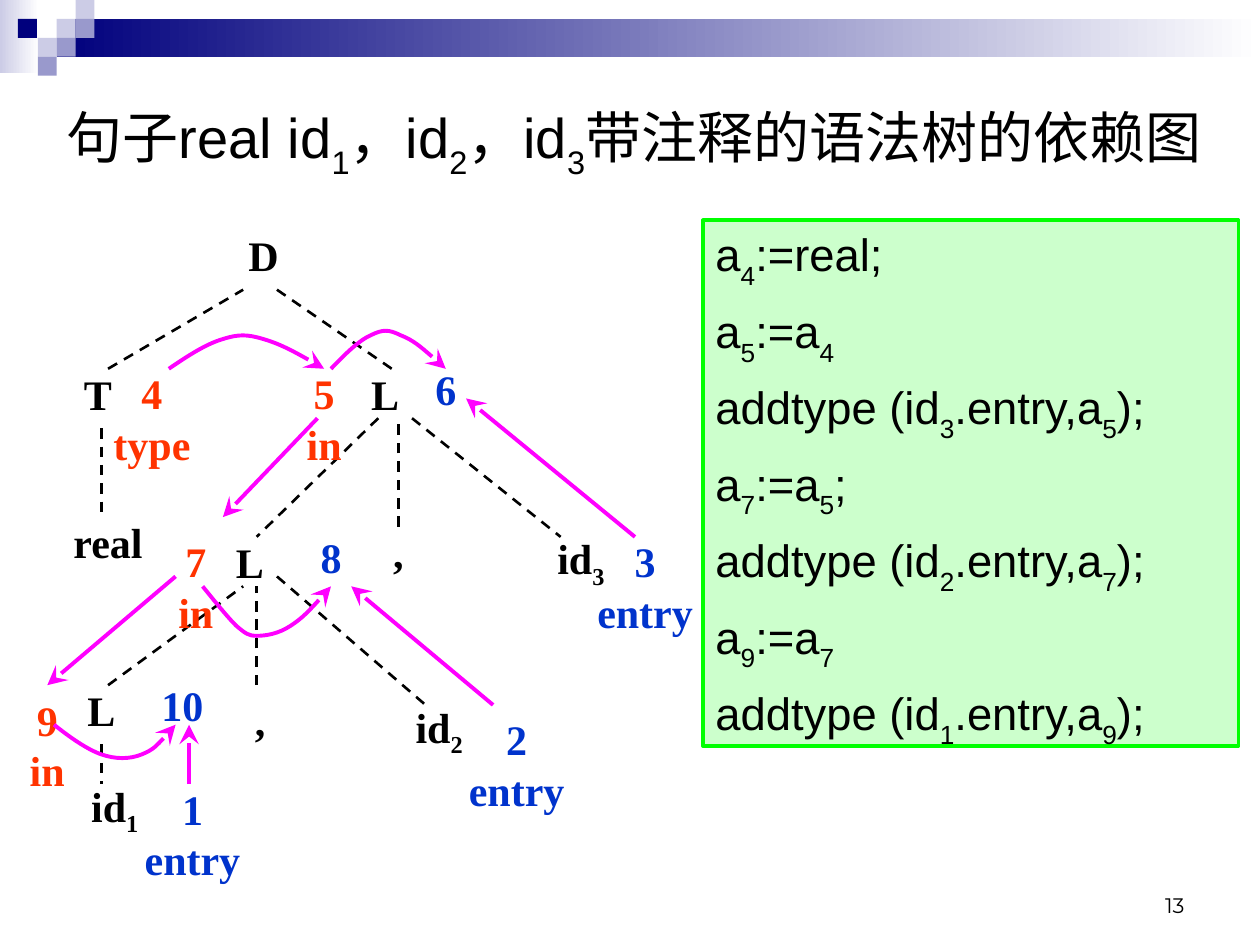
from lxml import etree
from pptx import Presentation
from pptx import util as u
from pptx.dml.color import RGBColor
from pptx.enum import dml, shapes, text
from pptx.oxml.ns import qn

BLACK = RGBColor(0x00, 0x00, 0x00)
NAVY = RGBColor(0x00, 0x00, 0x7D)
LAVENDER = RGBColor(0xCC, 0xCC, 0xE6)
VIOLET = RGBColor(0x99, 0x99, 0xCC)
WHITE = RGBColor(0xFF, 0xFF, 0xFF)
RED = RGBColor(0xFF, 0x33, 0x00)
BLUE = RGBColor(0x00, 0x33, 0xCC)
MAGENTA = RGBColor(0xFF, 0x00, 0xFF)
GREEN = RGBColor(0x00, 0xFF, 0x00)
PALE_GREEN = RGBColor(0xCC, 0xFF, 0xCC)

presentation = Presentation()
presentation.slide_width, presentation.slide_height = u.Inches(10), u.Inches(7.5)
slide = presentation.slides.add_slide(presentation.slide_layouts[5])

# The tree stands on a fine grid that starts at the left edge, below the title.
COLUMN, ROW, TREE_TOP = u.Pt(3.86), u.Pt(5.65), u.Inches(1.75)


def write(paragraph, content, font_name, size, color=BLACK, drop=-30):
    """Fill a paragraph; the character after each underscore is a subscript."""
    first, *rest = content.split("_")
    pieces = [(first, 0)]
    for part in rest:
        pieces += [(part[0], drop), (part[1:], 0)]
    for piece, baseline in pieces:
        if piece:
            run = paragraph.add_run()
            run.text = piece
            if baseline:
                run._r.get_or_add_rPr().set("baseline", str(baseline * 1000))
    paragraph.font.name = font_name
    paragraph.font.size = u.Pt(size)
    paragraph.font.color.rgb = color


def style_arrow(shape):
    shape.line.color.rgb = MAGENTA
    shape.line.width = u.Pt(2.25)
    outline = shape._element.spPr.find(qn("a:ln"))
    etree.SubElement(outline, qn("a:tailEnd"), type="stealth", w="lg", len="lg")


# Header band and its squares: left, top, width, height, colour, fades to white
SQUARE = 0.15
decorations = [
    (0, 0, 0.31, 0.58, LAVENDER, True),
    (0.45, SQUARE, 9.55, 2 * SQUARE, NAVY, True),
]
for column, row, color in [
    (3, 1, LAVENDER), (4, 0, LAVENDER), (4, 1, VIOLET), (2, 2, LAVENDER),
    (0.95, 1, NAVY), (3, 2, VIOLET), (2, 3, VIOLET),
]:
    decorations.append((column * SQUARE, row * SQUARE, SQUARE, SQUARE, color, False))
for *place, color, fades in decorations:
    block = slide.shapes.add_shape(shapes.MSO_SHAPE.RECTANGLE, *map(u.Inches, place))
    block.shadow.inherit = False
    block.line.fill.background()
    if fades:
        block.fill.gradient()
        block.fill.gradient_angle = 0
        for stop, position, stop_color in zip(block.fill.gradient_stops, (0, 1), (color, WHITE)):
            stop.position = position
            stop.color.rgb = stop_color
    else:
        block.fill.solid()
        block.fill.fore_color.rgb = color

title = slide.shapes.title
title.left, title.top, title.width, title.height = map(u.Inches, (0.43, 0.52, 9.57, 1.21))
title.text_frame.auto_size = text.MSO_AUTO_SIZE.NONE
title.text_frame.vertical_anchor = text.MSO_ANCHOR.MIDDLE
title.text_frame.paragraphs[0].alignment = text.PP_ALIGN.LEFT
write(title.text_frame.paragraphs[0],
      "句子real id_1，id_2，id_3带注释的语法树的依赖图", "Arial", 32)

page_number = slide.shapes.add_textbox(*map(u.Inches, (7.17, 6.83, 2.33, 0.5)))
page_number.text_frame.word_wrap = True
page_number.text_frame.vertical_anchor = text.MSO_ANCHOR.BOTTOM
page_number.text_frame.paragraphs[0].alignment = text.PP_ALIGN.RIGHT
write(page_number.text_frame.paragraphs[0], "13", "Montserrat", 12)

# Tree edges: from column, row to column, row
for x1, y1, x2, y2 in [
    (16, 15, 36, 7), (41, 7, 58, 15), (15, 21, 15, 30),
    (56, 20, 38, 32), (59, 31, 59, 20), (61, 20, 83, 32),
    (16, 47, 36, 37), (38, 47, 38, 37), (41, 36, 63, 49), (15, 53, 15, 57),
]:
    edge = slide.shapes.add_connector(
        shapes.MSO_CONNECTOR.STRAIGHT,
        x1 * COLUMN, TREE_TOP + y1 * ROW, x2 * COLUMN, TREE_TOP + y2 * ROW)
    edge.line.color.rgb = BLACK
    edge.line.width = u.Pt(1.5)
    edge.line.dash_style = dml.MSO_LINE.DASH
    etree.SubElement(edge._element.spPr, qn("a:effectLst"))

# Tree symbols and numbered attributes: text, column, row, columns, rows, colour
for content, column, row, columns, rows, color in [
    ("D", 33, 0, 12, 7, BLACK),
    ("T", 1, 14, 27, 7, BLACK),
    ("L", 42, 14, 30, 7, BLACK),
    ("real", 1, 29, 30, 7, BLACK),
    ("L", 25, 31, 24, 7, BLACK),
    (",", 53, 30, 12, 7, BLACK),
    ("id_3", 71, 31, 30, 7, BLACK),
    ("L", 0, 46, 30, 7, BLACK),
    (",", 35, 47, 7, 7, BLACK),
    ("id_2", 50, 48, 30, 7, BLACK),
    ("id_1", 2, 56, 30, 7, BLACK),
    ("4\ntype", 13, 14, 19, 12, RED),
    ("5\nin", 43, 15, 10, 10, RED),
    ("7\nin", 24, 32, 10, 10, RED),
    ("9\nin", 2, 48, 10, 10, RED),
    ("6", 61, 14, 10, 6, BLUE),
    ("8", 44, 31, 10, 6, BLUE),
    ("10", 22, 46, 10, 6, BLUE),
    ("1\nentry", 18, 56, 21, 12, BLUE),
    ("2\nentry", 66, 49, 21, 12, BLUE),
    ("3\nentry", 85, 31, 21, 12, BLUE),
]:
    label = slide.shapes.add_textbox(
        column * COLUMN, TREE_TOP + row * ROW, columns * COLUMN, rows * ROW)
    frame = label.text_frame
    frame.word_wrap = False
    frame.vertical_anchor = text.MSO_ANCHOR.MIDDLE
    for index, line in enumerate(content.split("\n")):
        paragraph = frame.add_paragraph() if index else frame.paragraphs[0]
        paragraph.alignment = text.PP_ALIGN.CENTER
        write(paragraph, line, "Times New Roman", 24, color, drop=-25)
        paragraph.font.bold = True

# Straight dependencies
for x1, y1, x2, y2 in [
    (94, 32, 69, 18), (47, 20, 33, 30), (73, 49, 52, 37),
    (26, 36, 7, 47), (28, 57, 28, 51),
]:
    arrow = slide.shapes.add_connector(
        shapes.MSO_CONNECTOR.STRAIGHT,
        x1 * COLUMN, TREE_TOP + y1 * ROW, x2 * COLUMN, TREE_TOP + y2 * ROW)
    style_arrow(arrow)
    etree.SubElement(arrow._element.spPr, qn("a:effectLst"))

# Curved dependencies: a start point, then three Bézier points per segment
for curve in [
    [(25, 15), (27.8, 13.7), (30.5, 12.5), (33, 12), (35.3, 11.5), (36.6, 11.5),
     (39, 12), (41.5, 12.5), (44.8, 13.7), (48, 15)],
    [(49, 15), (51.1, 13.5), (53.2, 12.1), (54.9, 11.6), (56.7, 11), (57.5, 11),
     (59.3, 11.6), (61.2, 12.1), (63.6, 13.5), (66, 15)],
    [(30, 37), (31.9, 38.6), (33.8, 40.2), (35, 41), (36.4, 41.8), (36.8, 42),
     (38, 42), (39.4, 42), (41.2, 41.8), (43, 41), (44.8, 40.2), (47, 38.6), (49, 37)],
    [(8, 51), (10.4, 52.3), (12.9, 53.5), (15, 54), (17.1, 54.5), (19.2, 54.5),
     (21, 54), (22.8, 53.5), (24.4, 52.3), (26, 51)],
]:
    start, *points = [(int(x * COLUMN), int(TREE_TOP + y * ROW)) for x, y in curve]
    builder = slide.shapes.build_freeform(*start)
    builder.add_line_segments(points, close=False)
    arc = builder.convert_to_shape()
    steps = list(arc._element.iter(qn("a:lnTo")))
    for index in range(0, len(steps), 3):
        bezier = etree.Element(qn("a:cubicBezTo"))
        steps[index].addprevious(bezier)
        for step in steps[index:index + 3]:
            bezier.append(step[0])
            step.getparent().remove(step)
    arc.fill.background()
    style_arrow(arc)
    arc.shadow.inherit = False

# Attribute computations
panel = slide.shapes.add_shape(
    shapes.MSO_SHAPE.RECTANGLE, *map(u.Inches, (5.58, 1.75, 4.25, 4.17)))
panel.shadow.inherit = False
panel.fill.solid()
panel.fill.fore_color.rgb = PALE_GREEN
panel.line.color.rgb = GREEN
panel.line.width = u.Pt(2.25)
panel.text_frame.word_wrap = True
panel.text_frame.vertical_anchor = text.MSO_ANCHOR.TOP
for index, statement in enumerate([
    "a_4:=real;", "a_5:=a_4", "addtype (id_3.entry,a_5);", "a_7:=a_5;",
    "addtype (id_2.entry,a_7);", "a_9:=a_7", "addtype (id_1.entry,a_9);",
]):
    paragraph = panel.text_frame.add_paragraph() if index else panel.text_frame.paragraphs[0]
    paragraph.alignment = text.PP_ALIGN.LEFT
    if index:
        paragraph.space_before = u.Pt(7)
    write(paragraph, statement, "Arial", 25.9)

presentation.save("out.pptx")
